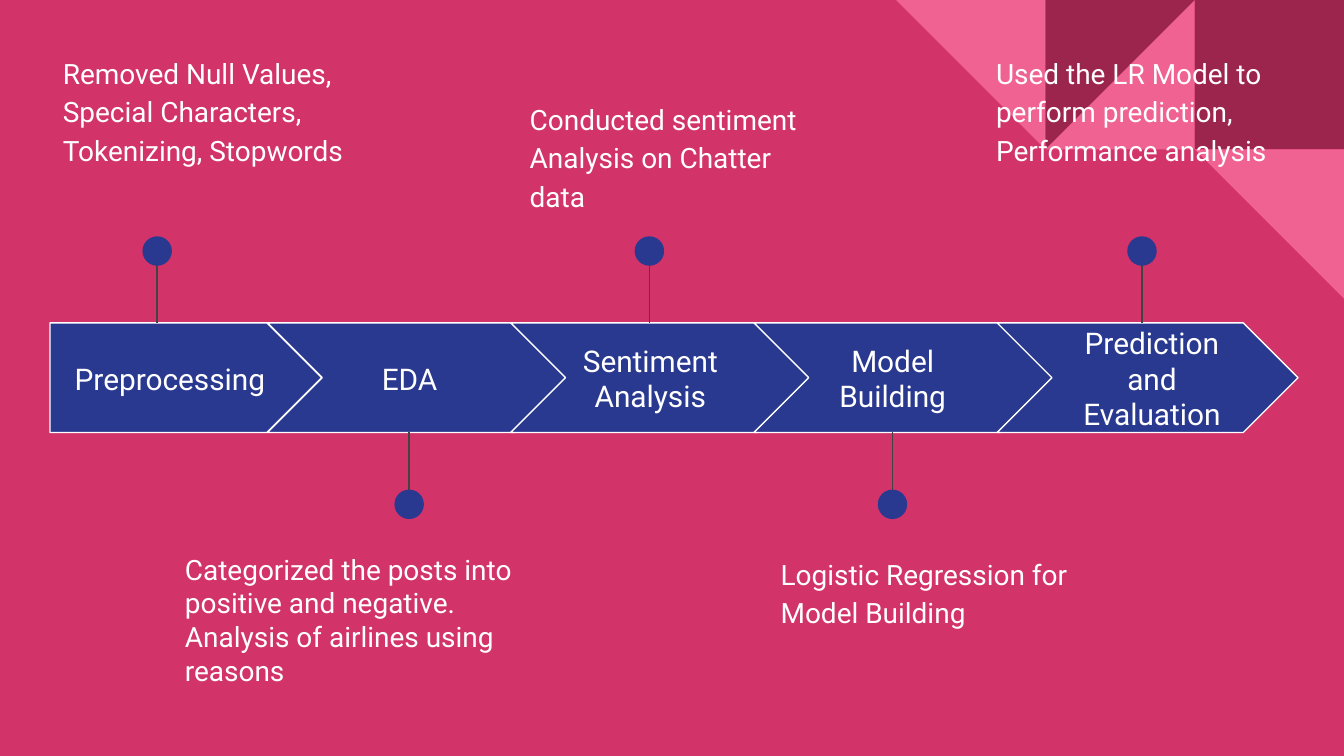
from lxml import etree
from pptx import Presentation
from pptx.dml.color import RGBColor
from pptx.enum import shapes as kinds, text as txt
from pptx.oxml.ns import qn
from pptx.util import Pt

HUES = {"back": "D23369", "dark": "9C254D", "pink": "F06292",
        "blue": "2A3990", "white": "FFFFFF", "grey": "434343"}
FORMS = kinds.MSO_SHAPE
LABEL = {"size": Pt(16), "name": "Roboto"}
NOTE = {"size": Pt(15), "name": "Roboto"}
MID = {"alignment": txt.PP_ALIGN.CENTER}
LOOSE = {"line_spacing": 1.15}
SPACED = {"line_spacing": 1.15, "space_after": Pt(16)}

STEPS = [
    {"label": "Preprocessing", "span": (26.6, 128.9), "pin": 84.2, "up": True,
     "note": ["Removed Null Values,", "Special Characters, Tokenizing, Stopwords"],
     "box": (26.6, 20.2, 176.4, 96.5), "para": LOOSE},
    {"label": "EDA", "span": (167.6, 103.7), "pin": 219.2, "up": False,
     "note": ["Categorized the posts into positive and negative.",
              "Analysis of airlines using reasons"],
     "box": (92, 288.7, 208, 109.4), "para": {}},
    {"label": "Sentiment Analysis", "span": (296.6, 103.7), "pin": 347.9, "up": True,
     "note": ["Conducted sentiment Analysis on Chatter data"],
     "box": (276.7, 44.9, 176.4, 71.3), "para": SPACED},
    {"label": "Model Building", "span": (426.4, 103.7), "pin": 478.1, "up": False,
     "note": ["Logistic Regression for Model Building"],
     "box": (411.1, 288.7, 176.4, 71.3), "para": SPACED},
    {"label": "Prediction and Evaluation", "span": (560.2, 113.8), "pin": 611.8, "up": True,
     "note": ["Used the LR Model to perform prediction, Performance analysis"],
     "box": (526.5, 20.2, 176.4, 71.3), "para": SPACED},
]


def hue(name):
    """Return the colour with the given name."""
    return RGBColor.from_string(HUES[name])


def add_form(parts, kind, box, fill, line=None):
    """Add a flat preset shape in the box."""
    form = parts.add_shape(kind, *map(Pt, box))
    form.shadow.inherit = False
    form.fill.solid()
    form.fill.fore_color.rgb = hue(fill)
    if line:
        form.line.color.rgb = hue(line)
        form.line.width = Pt(0.75)
    else:
        form.line.fill.background()
    return form


def add_text(parts, box, lines, font, para, anchor):
    """Add wrapped white text in the box, one paragraph a line."""
    frame = parts.add_textbox(*map(Pt, box)).text_frame
    marks = {"word_wrap": True, "vertical_anchor": anchor}
    for side in ("left", "right", "top", "bottom"):
        marks["margin_" + side] = Pt(7.2)
    for key, value in marks.items():
        setattr(frame, key, value)
    for num, line in enumerate(lines):
        part = frame.add_paragraph() if num else frame.paragraphs[0]
        run = part.add_run()
        run.text = line
        run.font.color.rgb = hue("white")
        for target, values in ((part, para), (run.font, font)):
            for key, value in values.items():
                setattr(target, key, value)


def add_corner(parts, box):
    """Add the triangle pattern in a box of three by two tiles."""
    left, top, width, _ = box
    side = width / 3
    group = parts.add_group_shape().shapes
    tiles = [(2, 0, FORMS.RECTANGLE, "dark", 0),
             (1, 0, FORMS.RIGHT_TRIANGLE, "pink", 270),
             (1, 0, FORMS.RIGHT_TRIANGLE, "dark", 90),
             (0, 0, FORMS.RIGHT_TRIANGLE, "pink", 180),
             (2, 1, FORMS.RIGHT_TRIANGLE, "pink", 180)]
    for col, row, kind, fill, turn in tiles:
        tile = (left + col * side, top + row * side, side, side)
        add_form(group, kind, tile, fill).rotation = turn


def add_pin(parts, mid, edge, reach):
    """Add a stem from the edge with a dot at its far end."""
    group = parts.add_group_shape().shapes
    ends = map(Pt, (mid, edge, mid, edge + reach))
    stem = group.add_connector(kinds.MSO_CONNECTOR.STRAIGHT, *ends)
    stem.line.color.rgb = hue("grey")
    stem.line.width = Pt(0.75)
    etree.SubElement(stem.element.spPr, qn("a:effectLst"))
    size = 15.8
    dot = (mid - size / 2, edge + reach - size / 2, size, size)
    add_form(group, FORMS.OVAL, dot, "blue")


def add_flow(parts, box):
    """Add the row of steps in the box, with pins and notes."""
    left, top, width, height = box
    pitch, wide, first = 130.3, 161.2, 145.6
    start = left + width - wide - pitch * (len(STEPS) - 1)
    for num, step in enumerate(STEPS):
        if num:
            kind, place = FORMS.CHEVRON, (start + num * pitch, top, wide, height)
        else:
            kind, place = FORMS.PENTAGON, (left, top, first, height)
        add_form(parts, kind, place, "blue", "white").adjustments[0] = 0.5
        at, span = step["span"]
        add_text(parts, (at, top + 11.2, span, 36.7), [step["label"]],
                 LABEL, MID, txt.MSO_ANCHOR.MIDDLE)
        edge, reach = (top, -38.5) if step["up"] else (top + height, 38.5)
        add_pin(parts, step["pin"], edge, reach)
        add_text(parts, step["box"], step["note"], NOTE, step["para"],
                 txt.MSO_ANCHOR.TOP)


def main():
    """Build and save the slide."""
    deck = Presentation()
    deck.slide_width, deck.slide_height = Pt(720), Pt(405)
    slide = deck.slides.add_slide(deck.slide_layouts[6])
    slide.background.fill.solid()
    slide.background.fill.fore_color.rgb = hue("back")
    add_corner(slide.shapes, (480, 0, 240, 160))
    add_flow(slide.shapes, (26.8, 173, 668.6, 58.7))
    deck.save("out.pptx")


if __name__ == "__main__":
    main()
